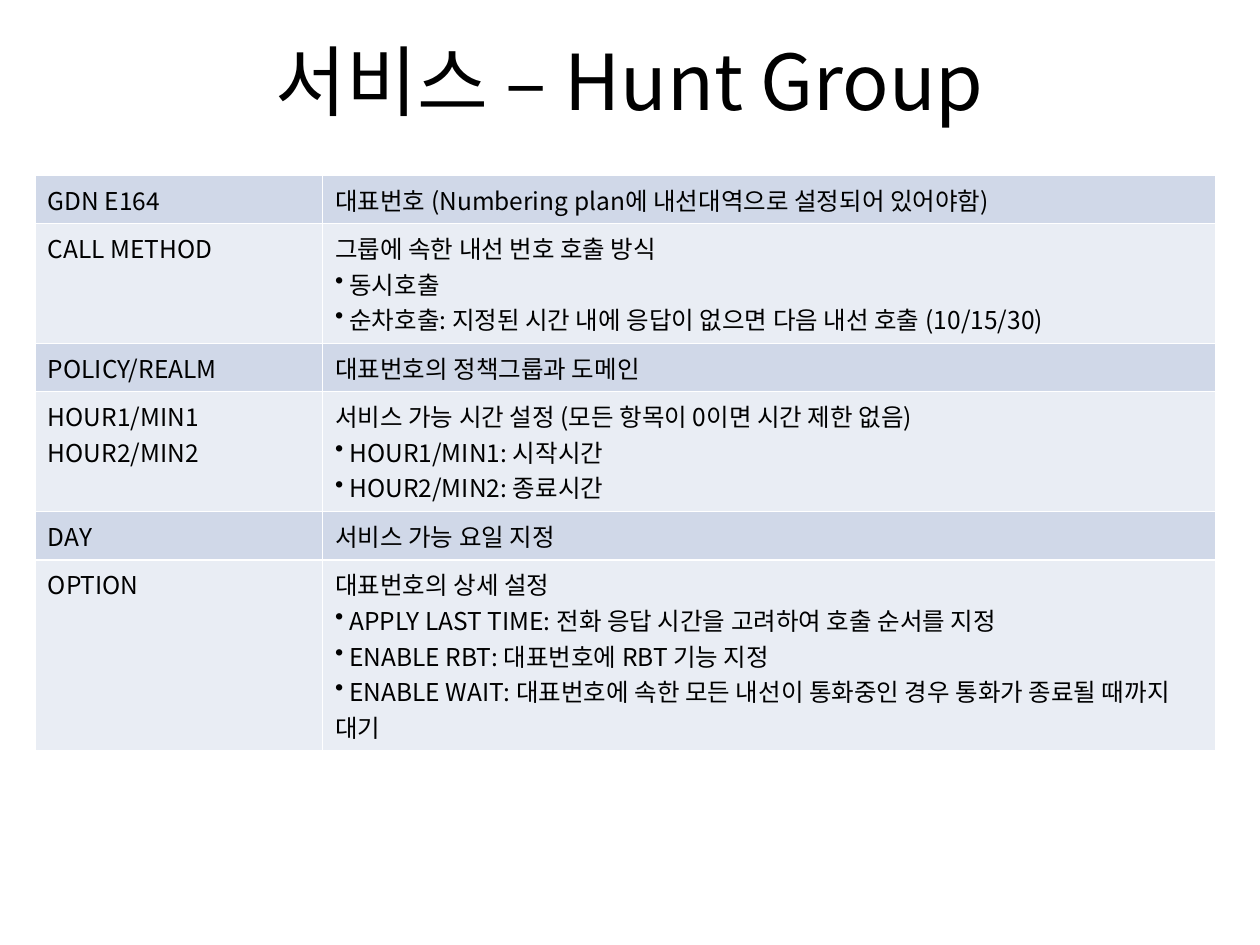
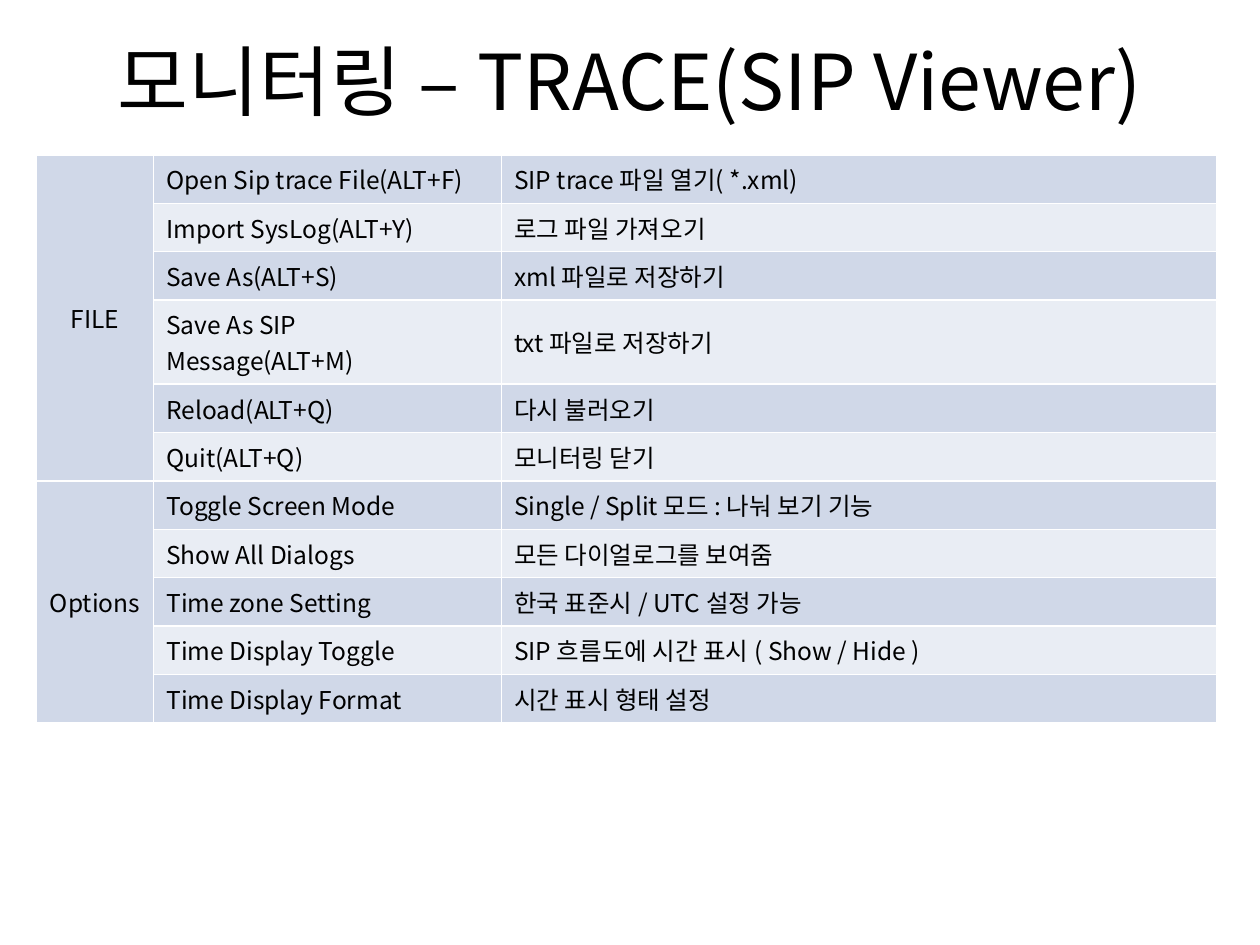
"""Build two slides of service and monitoring settings tables."""
from lxml.etree import SubElement
from pptx import Presentation
from pptx.dml.color import RGBColor
from pptx.enum.text import MSO_ANCHOR, MSO_AUTO_SIZE, PP_ALIGN
from pptx.oxml.ns import qn
from pptx.util import Emu, Pt

SCALE = 9144
FONT = "Noto Sans CJK KR"
BLACK = RGBColor(0, 0, 0)
WHITE = RGBColor(255, 255, 255)
BANDS = RGBColor(0xD0, 0xD8, 0xE8), RGBColor(0xE9, 0xED, 0xF4)

HUNT = [
    ("GDN E164", "대표번호 (Numbering plan에 내선대역으로 설정되어 있어야함)"),
    ("CALL METHOD", "그룹에 속한 내선 번호 호출 방식\n"
     "• 동시호출\n"
     "• 순차호출: 지정된 시간 내에 응답이 없으면 다음 내선 호출 (10/15/30)"),
    ("POLICY/REALM", "대표번호의 정책그룹과 도메인"),
    ("HOUR1/MIN1\nHOUR2/MIN2", "서비스 가능 시간 설정 (모든 항목이 0이면 시간 제한 없음)\n"
     "• HOUR1/MIN1: 시작시간\n"
     "• HOUR2/MIN2: 종료시간"),
    ("DAY", "서비스 가능 요일 지정"),
    ("OPTION", "대표번호의 상세 설정\n"
     "• APPLY LAST TIME: 전화 응답 시간을 고려하여 호출 순서를 지정\n"
     "• ENABLE RBT: 대표번호에 RBT 기능 지정\n"
     "• ENABLE WAIT: 대표번호에 속한 모든 내선이 통화중인 경우 통화가 종료될 때까지 대기"),
]

MENUS = {
    "FILE": [
        ("Open Sip trace File(ALT+F)", "SIP trace 파일 열기( *.xml)"),
        ("Import SysLog(ALT+Y)", "로그 파일 가져오기"),
        ("Save As(ALT+S)", "xml 파일로 저장하기"),
        ("Save As SIP Message(ALT+M)", "txt 파일로 저장하기"),
        ("Reload(ALT+Q)", "다시 불러오기"),
        ("Quit(ALT+Q)", "모니터링 닫기"),
    ],
    "Options": [
        ("Toggle Screen Mode", "Single / Split 모드 : 나눠 보기 기능"),
        ("Show All Dialogs", "모든 다이얼로그를 보여줌"),
        ("Time zone Setting", "한국 표준시 / UTC 설정 가능"),
        ("Time Display Toggle", "SIP 흐름도에 시간 표시 ( Show / Hide )"),
        ("Time Display Format", "시간 표시 형태 설정"),
    ],
}


def px(size):
    """Turn px into EMU."""
    return Emu(size * SCALE)


class Deck:
    """Hold the shared style and the current slide."""

    def __init__(self):
        """Start an empty deck."""
        self.prs = Presentation()
        self.prs.slide_width, self.prs.slide_height = px(1000), px(750)
        self.slide = None

    def page(self, title):
        """Add a slide with its title."""
        self.slide = self.prs.slides.add_slide(self.prs.slide_layouts[5])
        head = self.slide.shapes.title
        head.left, head.top, head.width, head.height = map(px, (50, 1, 900, 125))
        frame = head.text_frame
        frame.word_wrap = True
        frame.auto_size = MSO_AUTO_SIZE.NONE
        frame.vertical_anchor = MSO_ANCHOR.MIDDLE
        self.lines(frame, title, 44, PP_ALIGN.CENTER)

    def lines(self, frame, text, size, align=PP_ALIGN.LEFT):
        """Set lines as paragraphs, with a bullet where one is marked."""
        for i, line in enumerate(text.split("\n")):
            para = frame.add_paragraph() if i else frame.paragraphs[0]
            para.alignment = align
            if line.startswith("•"):
                props = para._p.get_or_add_pPr()
                props.set("marL", "0")
                props.set("indent", "0")
                SubElement(props, qn("a:buChar"), char="•")
            run = para.add_run()
            run.text = line.removeprefix("•")
            run.font.size = Pt(size)
            run.font.color.rgb = BLACK
            run.font.name = FONT
            SubElement(run._r.get_or_add_rPr(), qn("a:ea"), typeface=FONT)

    def table(self, left, top, cols, rows):
        """Add a plain table and return it."""
        frame = self.slide.shapes.add_table(
            len(rows), len(cols), px(left), px(top), px(sum(cols)), px(sum(rows)))
        table = frame.table
        table.first_row = table.horz_banding = False
        for col, width in zip(table.columns, cols):
            col.width = px(width)
        for row, height in zip(table.rows, rows):
            row.height = px(height)
        return table

    def cell(self, cell, text, fill, anchor=MSO_ANCHOR.TOP, align=PP_ALIGN.LEFT):
        """Fill, edge and letter one cell."""
        props = cell._tc.get_or_add_tcPr()
        for side in "LRTB":
            edge = SubElement(props, qn(f"a:ln{side}"), w=str(Pt(1)))
            paint = SubElement(edge, qn("a:solidFill"))
            SubElement(paint, qn("a:srgbClr"), val=str(WHITE))
        cell.fill.solid()
        cell.fill.fore_color.rgb = fill
        cell.vertical_anchor = anchor
        if text:
            self.lines(cell.text_frame, text, 14, align)

    def hunt(self):
        """Build the hunt group slide."""
        self.page("서비스 – Hunt Group")
        table = self.table(28, 139, (228, 709), (36, 87, 36, 87, 36, 134))
        for r, row in enumerate(HUNT):
            for c, text in enumerate(row):
                self.cell(table.cell(r, c), text, BANDS[r % 2])

    def trace(self):
        """Build the trace viewer slide."""
        self.page("모니터링 – TRACE(SIP Viewer)")
        count = sum(map(len, MENUS.values()))
        table = self.table(29, 123, (93, 276, 568), [33] * count)
        mid = MSO_ANCHOR.MIDDLE
        r = 0
        for menu, items in MENUS.items():
            first = table.cell(r, 0)
            first.merge(table.cell(r + len(items) - 1, 0))
            for i, item in enumerate(items):
                self.cell(table.cell(r, 0), "" if i else menu, BANDS[0], mid, PP_ALIGN.CENTER)
                for c, text in enumerate(item, 1):
                    self.cell(table.cell(r, c), text, BANDS[r % 2], mid)
                r += 1


def main():
    """Build and save the deck."""
    deck = Deck()
    deck.hunt()
    deck.trace()
    deck.prs.save("out.pptx")


if __name__ == "__main__":
    main()
